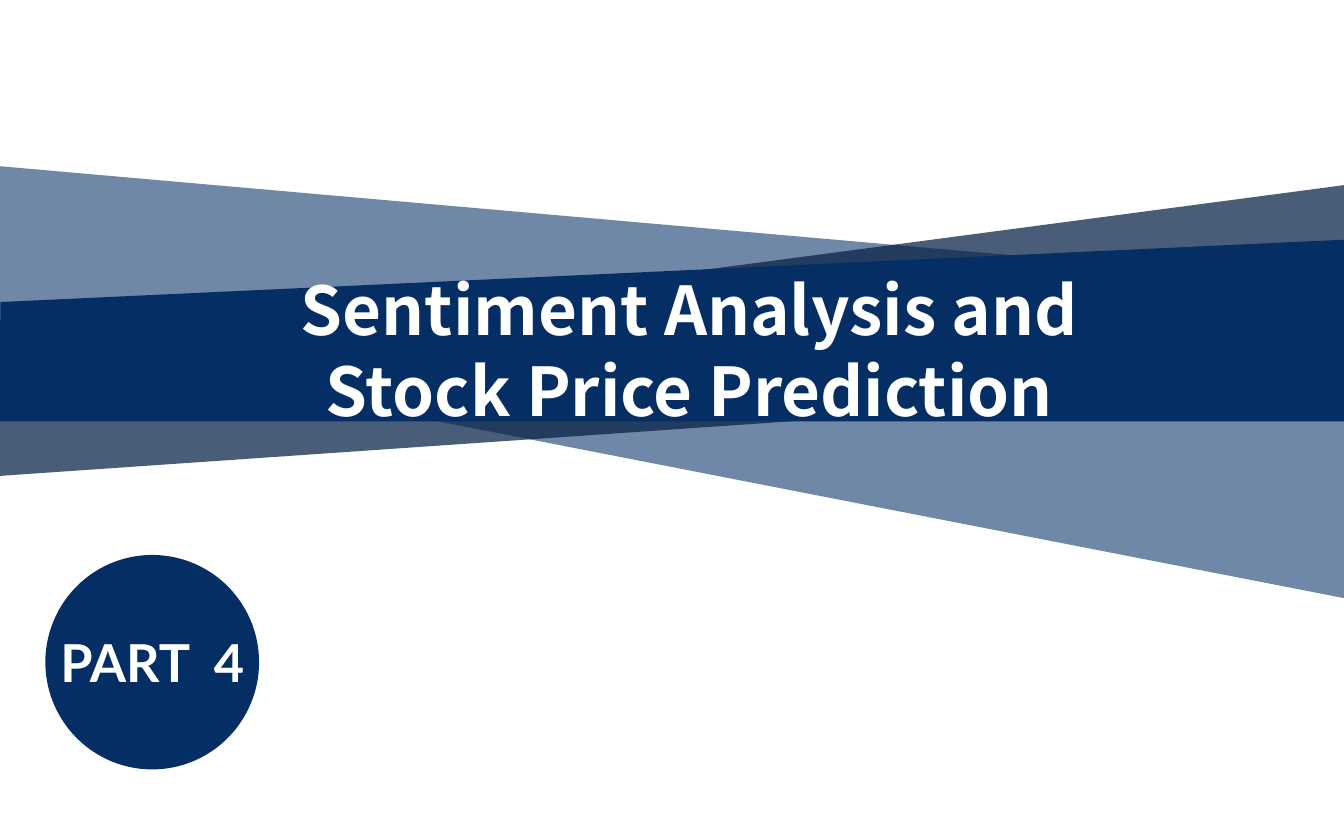
"""Build a section divider slide with crossing bands and a part badge."""
from lxml import etree
from pptx import Presentation
from pptx.dml.color import RGBColor
from pptx.enum import shapes, text
from pptx.oxml.ns import qn
from pptx.util import Pt

THEME = {
    "navy": "052E65", "dark": "041F44", "white": "FFFFFF",
    "title": ("Noto Sans CJK SC", 36), "badge": ("Lato", 28),
}
SIZE = (720, 450)
BANDS = [
    ("navy", 57, [(-0.7, 89), (721, 152.5), (721.4, 320.7), (0, 180)]),
    ("dark", 72, [(-0.5, 194.6), (720, 99.2), (720, 205.3), (-0.5, 255)]),
    ("navy", 100, [(0.3, 161.8), (720, 128.4), (720, 225.7), (-0.5, 225.7)]),
]
DISC = (24.3, 297.3, 114.5, 114.9)
LABELS = [
    ("Sentiment Analysis and Stock Price Prediction", "title",
     (127.4, 140.4, 483.8, 92.9), 5.04, 43.4),
    ("PART  4", "badge", (24.3, 334.8, 114.5, 73.4), 5.76, None),
]


def paint(shape, name, alpha=100):
    shape.shadow.inherit = False
    shape.line.fill.background()
    shape.fill.solid()
    shape.fill.fore_color.rgb = RGBColor.from_string(THEME[name])
    if alpha < 100:
        tint = shape._element.spPr.find(".//" + qn("a:srgbClr"))
        etree.SubElement(tint, qn("a:alpha")).set("val", str(alpha * 1000))


def band(slide, name, alpha, points):
    points = [(Pt(x), Pt(y)) for x, y in points]
    pen = slide.shapes.build_freeform(*points[0])
    pen.add_line_segments(points[1:], close=True)
    paint(pen.convert_to_shape(), name, alpha)


def label(slide, words, style, box, side, pitch):
    frame = slide.shapes.add_textbox(*map(Pt, box)).text_frame
    frame.word_wrap = True
    frame.margin_left = frame.margin_right = Pt(side)
    frame.margin_top = frame.margin_bottom = Pt(2.88)
    para = frame.paragraphs[0]
    para.text = words
    para.alignment = text.PP_ALIGN.CENTER
    if pitch:
        para.line_spacing = Pt(pitch)
    face, size = THEME[style]
    font = para.font
    font.name, font.size, font.bold = face, Pt(size), True
    font.color.rgb = RGBColor.from_string(THEME["white"])


def main():
    deck = Presentation()
    deck.slide_width, deck.slide_height = map(Pt, SIZE)
    slide = deck.slides.add_slide(deck.slide_layouts[6])
    for row in BANDS:
        band(slide, *row)
    disc = slide.shapes.add_shape(shapes.MSO_SHAPE.OVAL, *map(Pt, DISC))
    paint(disc, "navy")
    for row in LABELS:
        label(slide, *row)
    deck.save("out.pptx")


if __name__ == "__main__":
    main()
